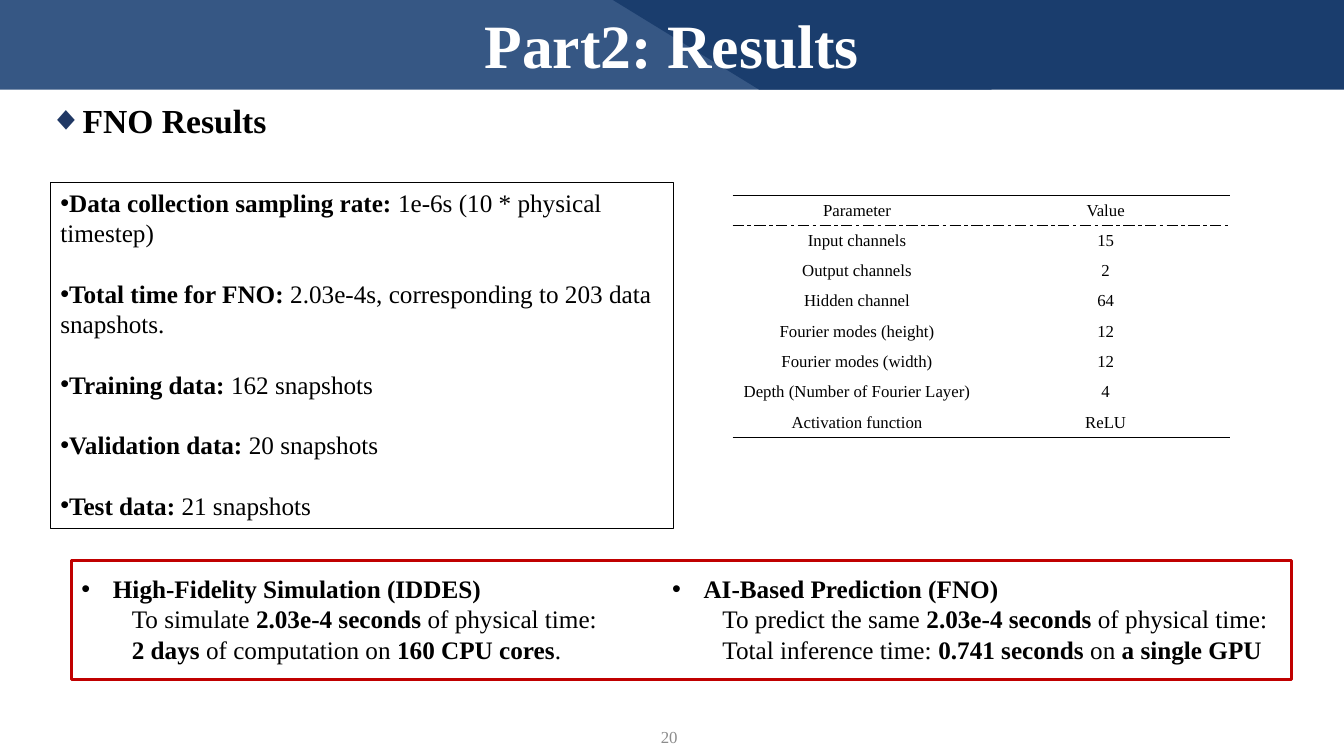
from lxml import etree
from pptx import Presentation
from pptx.dml.color import RGBColor
from pptx.enum.shapes import MSO_SHAPE
from pptx.enum.text import MSO_ANCHOR, PP_ALIGN
from pptx.oxml.ns import qn
from pptx.util import Pt

LEFT, CENTER, RIGHT, JUSTIFY = PP_ALIGN.LEFT, PP_ALIGN.CENTER, PP_ALIGN.RIGHT, PP_ALIGN.JUSTIFY
TOP, MIDDLE = MSO_ANCHOR.TOP, MSO_ANCHOR.MIDDLE
BANNER_SHAPE, RECTANGLE = MSO_SHAPE.FLOWCHART_MANUAL_INPUT, MSO_SHAPE.RECTANGLE

TITLE = "Part2: Results"
HEADING = "FNO Results"
PAGE_NUMBER = "20"
DATA_FACTS = [
    ("Data collection sampling rate:", " 1e-6s (10 * physical timestep)"),
    ("Total time for FNO:", " 2.03e-4s, corresponding to 203 data snapshots."),
    ("Training data:", " 162 snapshots"),
    ("Validation data:", " 20 snapshots"),
    ("Test data:", " 21 snapshots"),
]
PARAMETERS = [
    ("Parameter", "Value"),
    ("Input channels", "15"),
    ("Output channels", "2"),
    ("Hidden channel", "64"),
    ("Fourier modes (height)", "12"),
    ("Fourier modes (width)", "12"),
    ("Depth (Number of Fourier Layer)", "4"),
    ("Activation function", "ReLU"),
]
COMPARISON = [
    {
        "place": (51.1, 406, 386.6, 72.8),
        "method": "High-Fidelity Simulation (IDDES)",
        "lines": [
            [("To simulate ", False), ("2.03e-4 seconds", True), (" of physical time:", False)],
            [("2 days", True), (" of computation on ", False), ("160 CPU cores", True), (".", False)],
        ],
    },
    {
        "place": (473, 406, 480.2, 72.8),
        "method": "AI-Based Prediction (FNO)",
        "lines": [
            [("To predict the same ", False), ("2.03e-4 seconds ", True), ("of physical time:", False)],
            [("Total inference time: ", False), ("0.741 seconds ", True), ("on ", False),
             ("a single GPU", True)],
        ],
    },
]
THEME = {
    "font": "Times New Roman",
    "title": 44, "heading": 24, "body": 18, "small": 12,
    "banner_light": "365784", "banner_dark": "1A3D6D", "diamond": "203864",
    "ink": "000000", "white": "FFFFFF", "grey": "8C8C8C", "red": "C00000",
    "fact_gap": 21.6,
}
SLIDE_WIDTH, SLIDE_HEIGHT = 960, 540
BANNER_HEIGHT = 64
BULLET_INDENT, DETAIL_INDENT = 22.5, 36
TABLE_LEFT, TABLE_TOP, COLUMN_WIDTH, ROW_HEIGHT = 523.4, 139.5, 177.6, 21.6

presentation = Presentation()
presentation.slide_width, presentation.slide_height = Pt(SLIDE_WIDTH), Pt(SLIDE_HEIGHT)
slide = presentation.slides.add_slide(presentation.slide_layouts[6])


def color(name):
    return RGBColor.from_string(THEME[name])


def add_banner(left, length, rotation, fill):
    band = slide.shapes.add_shape(
        BANNER_SHAPE, Pt(left + (length - BANNER_HEIGHT) / 2), Pt((BANNER_HEIGHT - length) / 2),
        Pt(BANNER_HEIGHT), Pt(length))
    band.rotation = rotation
    band.shadow.inherit = False
    band.fill.solid()
    band.fill.fore_color.rgb = color(fill)
    band.line.fill.background()


def add_frame(place, line_color, line_width):
    frame = slide.shapes.add_shape(RECTANGLE, *map(Pt, place))
    frame.shadow.inherit = False
    frame.fill.background()
    frame.line.color.rgb = color(line_color)
    frame.line.width = Pt(line_width)
    return frame


def set_bullet(paragraph, mark="•", mark_color="ink", indent=0):
    properties = paragraph._p.get_or_add_pPr()
    properties.set("marL", str(Pt(indent)))
    properties.set("indent", str(Pt(-indent)))
    bullet_color = etree.SubElement(properties, qn("a:buClr"))
    etree.SubElement(bullet_color, qn("a:srgbClr"), val=THEME[mark_color])
    etree.SubElement(properties, qn("a:buFont"), typeface="Arial")
    etree.SubElement(properties, qn("a:buChar"), char=mark)


def write(paragraph, runs, size="body", ink="ink", align=LEFT):
    paragraph.alignment = align
    for words, bold in runs:
        run = paragraph.add_run()
        run.text = words
        run.font.name = THEME["font"]
        run.font.size = Pt(THEME[size])
        run.font.bold = bold
        run.font.color.rgb = color(ink)


def add_text_frame(place, anchor=TOP):
    frame = slide.shapes.add_textbox(*map(Pt, place)).text_frame
    frame.word_wrap = True
    frame.vertical_anchor = anchor
    return frame


def set_borders(cell, borders):
    properties = cell._tc.get_or_add_tcPr()
    for position, edge in enumerate(("lnL", "lnR", "lnT", "lnB")):
        line = etree.Element(qn("a:" + edge), w=str(Pt(1)))
        if edge in borders:
            fill = etree.SubElement(line, qn("a:solidFill"))
            etree.SubElement(fill, qn("a:srgbClr"), val=THEME["ink"])
            etree.SubElement(line, qn("a:prstDash"), val=borders[edge])
        else:
            etree.SubElement(line, qn("a:noFill"))
        properties.insert(position, line)


def add_parameter_table():
    row_count, column_count = len(PARAMETERS), len(PARAMETERS[0])
    table = slide.shapes.add_table(
        row_count, column_count, Pt(TABLE_LEFT), Pt(TABLE_TOP),
        Pt(COLUMN_WIDTH * column_count), Pt(ROW_HEIGHT * row_count)).table
    table.first_row = table.horz_banding = False
    row_borders = {
        0: {"lnT": "solid", "lnB": "lgDashDot"},
        1: {"lnT": "lgDashDot"},
        row_count - 1: {"lnB": "solid"},
    }
    for row, entries in enumerate(PARAMETERS):
        for column, entry in enumerate(entries):
            cell = table.cell(row, column)
            cell.fill.background()
            cell.vertical_anchor = MIDDLE
            set_borders(cell, row_borders.get(row, {}))
            write(cell.text_frame.paragraphs[0], [(entry, False)], "small", align=CENTER)


def add_data_facts():
    frame = add_frame((36, 130.4, 445.4, 247), "ink", 0.75).text_frame
    frame.word_wrap = True
    frame.vertical_anchor = TOP
    for index, (label, detail) in enumerate(DATA_FACTS):
        paragraph = frame.add_paragraph() if index else frame.paragraphs[0]
        set_bullet(paragraph)
        if index:
            paragraph.space_before = Pt(THEME["fact_gap"])
        write(paragraph, [(label, True), (detail, False)])


def add_comparison(method):
    frame = add_text_frame(method["place"])
    heading = frame.paragraphs[0]
    set_bullet(heading, indent=BULLET_INDENT)
    write(heading, [(method["method"], True)])
    for runs in method["lines"]:
        paragraph = frame.add_paragraph()
        paragraph.level = 1
        paragraph._p.get_or_add_pPr().set("marL", str(Pt(DETAIL_INDENT)))
        write(paragraph, runs)


add_banner(0, 708.5, 90, "banner_light")
add_banner(437.8, SLIDE_WIDTH - 437.8, 270, "banner_dark")
title = add_text_frame((0, 1.4, SLIDE_WIDTH, 60.5))
write(title.paragraphs[0], [(TITLE, True)], "title", "white", CENTER)
page_number = add_text_frame((463.7, 511.9, 27.4, 28.8), MIDDLE)
write(page_number.paragraphs[0], [(PAGE_NUMBER, False)], "small", "grey", RIGHT)
section = add_text_frame((28.1, 67.7, 884.9, 36)).paragraphs[0]
set_bullet(section, "◆", "diamond", BULLET_INDENT)
write(section, [(HEADING, True)], "heading", align=JUSTIFY)
add_parameter_table()
add_data_facts()
for method in COMPARISON:
    add_comparison(method)
add_frame((51.1, 400.3, 871.2, 85), "red", 2.25)
presentation.save("out.pptx")
